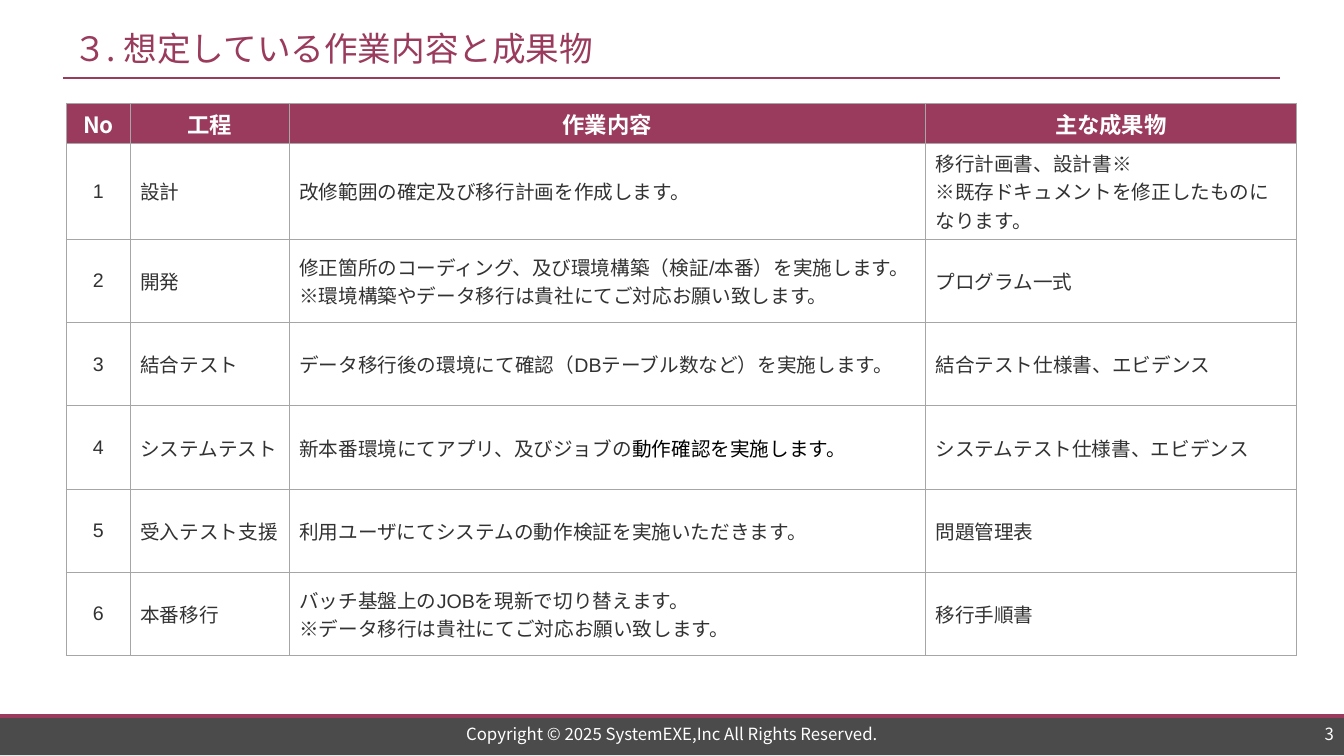
from lxml import etree
from pptx import Presentation
from pptx.dml.color import RGBColor
from pptx.enum import shapes, text
from pptx.oxml import ns
from pptx.util import Pt

TITLE = "３. 想定している作業内容と成果物"
COPYRIGHT = "Copyright © 2025 SystemEXE,Inc All Rights Reserved."
PAGE_NUMBER = "3"
HEADERS = ["No", "工程", "作業内容", "主な成果物"]
PHASES = [
    ("設計", ["改修範囲の確定及び移行計画を作成します。"],
     ["移行計画書、設計書※", "※既存ドキュメントを修正したものになります。"]),
    ("開発", ["修正箇所のコーディング、及び環境構築（検証/本番）を実施します。",
             "※環境構築やデータ移行は貴社にてご対応お願い致します。"],
     ["プログラム一式"]),
    ("結合テスト", ["データ移行後の環境にて確認（DBテーブル数など）を実施します。"],
     ["結合テスト仕様書、エビデンス"]),
    ("システムテスト",
     [[("新本番環境にてアプリ、及びジョブの", "body"), ("動作確認を実施します。", "black")]],
     ["システムテスト仕様書、エビデンス"]),
    ("受入テスト支援", ["利用ユーザにてシステムの動作検証を実施いただきます。"], ["問題管理表"]),
    ("本番移行", ["バッチ基盤上のJOBを現新で切り替えます。",
               "※データ移行は貴社にてご対応お願い致します。"],
     ["移行手順書"]),
]
COLORS = {"accent": "9A3B5D", "footer": "4B4B4B", "border": "A6A6A6",
          "body": "323232", "black": "000000", "white": "FFFFFF"}
GOTHIC, LATIN = "Noto Sans CJK JP", "Arial"
LEFT, CENTER, RIGHT = text.PP_ALIGN.LEFT, text.PP_ALIGN.CENTER, text.PP_ALIGN.RIGHT
WIDTH, HEIGHT = 960, 540
COLUMN_WIDTHS = [45.5, 113.5, 454.5, 265]
HEADER_HEIGHT, TALL_ROW_HEIGHT, ROW_HEIGHT = 28.5, 68.6, 59.5
NARROW_MARGIN = 2.88


def color(name):
    return RGBColor.from_string(COLORS[name])


def write(frame, lines, size, shade, face=GOTHIC, align=LEFT, bold=False):
    for index, line in enumerate(lines):
        para = frame.paragraphs[0] if index == 0 else frame.add_paragraph()
        para.alignment = align
        pieces = [(line, shade)] if isinstance(line, str) else line
        for words, tint in pieces:
            span = para.add_run()
            span.text = words
            span.font.size = Pt(size)
            span.font.bold = bold
            span.font.name = face
            span.font.color.rgb = color(tint)
            east_asian = etree.SubElement(span.font._element, ns.qn("a:ea"))
            east_asian.set("typeface", GOTHIC)


def add_text(page, place, words, size, shade, align=LEFT):
    box = page.shapes.add_textbox(*map(Pt, place))
    frame = box.text_frame
    frame.word_wrap = True
    frame.vertical_anchor = text.MSO_ANCHOR.MIDDLE
    write(frame, [words], size, shade, align=align)


def add_rule(page, left, right, top, weight):
    rule = page.shapes.add_connector(
        shapes.MSO_CONNECTOR.STRAIGHT, Pt(left), Pt(top), Pt(right), Pt(top))
    rule.line.color.rgb = color("accent")
    rule.line.width = Pt(weight)
    etree.SubElement(rule._element.spPr, ns.qn("a:effectLst"))


def add_borders(cell):
    properties = cell._tc.get_or_add_tcPr()
    for index, side in enumerate(("lnL", "lnR", "lnT", "lnB")):
        border = etree.Element(ns.qn("a:" + side), w=str(Pt(1)))
        fill = etree.SubElement(border, ns.qn("a:solidFill"))
        etree.SubElement(fill, ns.qn("a:srgbClr"), val=COLORS["border"])
        properties.insert(index, border)


def fill_cell(cell, lines, header, narrow):
    cell.vertical_anchor = text.MSO_ANCHOR.MIDDLE
    if narrow:
        cell.margin_left = cell.margin_right = Pt(NARROW_MARGIN)
        cell.margin_top = cell.margin_bottom = Pt(NARROW_MARGIN)
    align = CENTER if narrow else LEFT
    if header:
        cell.fill.solid()
        cell.fill.fore_color.rgb = color("accent")
        write(cell.text_frame, lines, 16, "white", align=align, bold=True)
    else:
        cell.fill.background()
        write(cell.text_frame, lines, 14, "body", face=LATIN, align=align)
    add_borders(cell)


def add_phase_table(page):
    rows = [[[name] for name in HEADERS]]
    for number, (phase, work, results) in enumerate(PHASES, 1):
        rows.append([[str(number)], [phase], work, results])
    heights = [HEADER_HEIGHT, TALL_ROW_HEIGHT] + [ROW_HEIGHT] * (len(PHASES) - 1)
    table = page.shapes.add_table(
        len(rows), len(HEADERS), Pt(47.5), Pt(73.8),
        Pt(sum(COLUMN_WIDTHS)), Pt(sum(heights))).table
    table.first_row = table.horz_banding = False
    for column, width in zip(table.columns, COLUMN_WIDTHS):
        column.width = Pt(width)
    for r, (row, height) in enumerate(zip(rows, heights)):
        table.rows[r].height = Pt(height)
        for c, lines in enumerate(row):
            fill_cell(table.cell(r, c), lines, r == 0, r == 0 or c == 0)


def main():
    deck = Presentation()
    deck.slide_width, deck.slide_height = Pt(WIDTH), Pt(HEIGHT)
    page = deck.slides.add_slide(deck.slide_layouts[6])

    footer = page.shapes.add_shape(
        shapes.MSO_SHAPE.RECTANGLE, Pt(0), Pt(511.4), Pt(WIDTH), Pt(28))
    footer.shadow.inherit = False
    footer.fill.solid()
    footer.fill.fore_color.rgb = color("footer")
    footer.line.fill.background()
    add_rule(page, 0, WIDTH, 511.6, 2.75)
    add_rule(page, 45, 914, 55.8, 1.5)

    add_text(page, (45.3, 14.4, 869, 39.6), TITLE, 24, "accent")
    add_text(page, (239, 515.5, 482, 17.3), COPYRIGHT, 12, "white", CENTER)
    add_phase_table(page)
    add_text(page, (847, 515.5, 113, 17.3), PAGE_NUMBER, 12, "white", RIGHT)
    deck.save("out.pptx")


if __name__ == "__main__":
    main()
